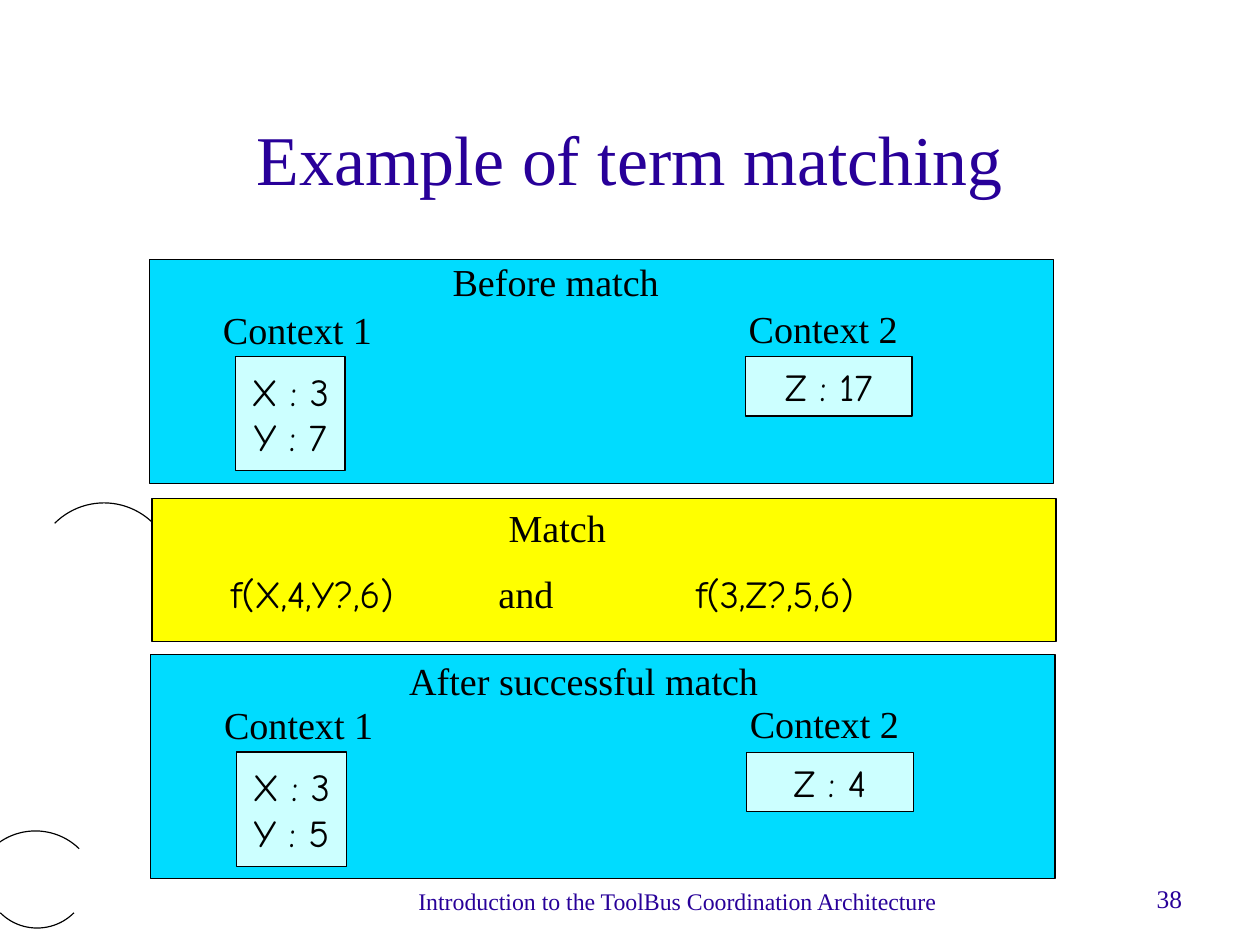
from dataclasses import dataclass

import pptx
import pptx.dml.color
import pptx.enum.shapes
import pptx.enum.text
import pptx.oxml.ns
import pptx.util
from lxml import etree

Inches = pptx.util.Inches
SHAPE = pptx.enum.shapes.MSO_SHAPE
ALIGN = pptx.enum.text.PP_ALIGN
ANCHOR = pptx.enum.text.MSO_ANCHOR


@dataclass(frozen=True)
class Theme:
    serif: str = "Times New Roman"
    term: str = "Comic Neue"
    accent: str = "280099"
    ink: str = "000000"
    panel: str = "00DCFF"
    match: str = "FFFF00"
    context: str = "CCFFFF"
    title_size: int = 44
    body_size: int = 24
    number_size: int = 16
    footer_size: int = 15
    hairline: int = 0


def rgb(value):
    return pptx.dml.color.RGBColor.from_string(value)


class SlideBuilder:
    def __init__(self, prs, theme):
        self.theme = theme
        self.s = prs.slides.add_slide(prs.slide_layouts[5])

    def frame(self, sp, **formats):
        """Clear the insets of a shape's text frame and apply formats."""
        tf = sp.text_frame
        insets = dict.fromkeys(
            ("margin_left", "margin_top", "margin_right", "margin_bottom"), 0)
        for name, value in {**insets, **formats}.items():
            setattr(tf, name, value)
        return tf

    def run(self, p, text, font=None, size=None, color=None):
        t = self.theme
        r = p.add_run()
        r.text = text
        formats = {"name": font or t.serif,
                   "size": pptx.util.Pt(size or t.body_size)}
        for name, value in formats.items():
            setattr(r.font, name, value)
        r.font.color.rgb = rgb(color or t.ink)

    def title(self, text, x, y, w, h):
        sp = self.s.shapes.title
        place = {"left": x, "top": y, "width": w, "height": h}
        for name, value in place.items():
            setattr(sp, name, Inches(value))
        tf = self.frame(sp, word_wrap=True, vertical_anchor=ANCHOR.MIDDLE)
        p = tf.paragraphs[0]
        p.alignment = ALIGN.CENTER
        self.run(p, text, size=self.theme.title_size, color=self.theme.accent)

    def label(self, text, x, y, w, h=0.4, **font):
        sp = self.s.shapes.add_textbox(*map(Inches, (x, y, w, h)))
        self.run(self.frame(sp, word_wrap=False).paragraphs[0], text, **font)

    def tabbed(self, parts, stops, x, y, w, h):
        """Set (text, font) parts on one line, each after the first at a tab stop."""
        sp = self.s.shapes.add_textbox(*map(Inches, (x, y, w, h)))
        p = self.frame(sp, word_wrap=True).paragraphs[0]
        qn = pptx.oxml.ns.qn
        tabs = etree.SubElement(p._p.get_or_add_pPr(), qn("a:tabLst"))
        for stop in stops:
            etree.SubElement(tabs, qn("a:tab"), pos=str(Inches(stop)), algn="l")
        for i, (text, font) in enumerate(parts):
            self.run(p, "\t" + text if i else text, font=font)

    def shape(self, kind, x, y, w, h, fill=None):
        sp = self.s.shapes.add_shape(kind, *map(Inches, (x, y, w, h)))
        sp.shadow.inherit = False
        if fill:
            sp.fill.solid()
            sp.fill.fore_color.rgb = rgb(fill)
        else:
            sp.fill.background()
        sp.line.color.rgb = rgb(self.theme.ink)
        sp.line.width = pptx.util.Pt(self.theme.hairline)
        return sp

    def arc(self, x, y, w, h, start, end):
        """Draw an arc between two angles given in degrees."""
        sp = self.shape(SHAPE.ARC, x, y, w, h)
        for i, angle in enumerate((start, end)):
            sp.adjustments[i] = angle * 0.6

    def context(self, name, lines, label_at, box):
        sp = self.shape(SHAPE.RECTANGLE, *box, fill=self.theme.context)
        tf = self.frame(sp, word_wrap=True, vertical_anchor=ANCHOR.MIDDLE)
        for i, line in enumerate(lines):
            p = tf.add_paragraph() if i else tf.paragraphs[0]
            p.alignment = ALIGN.CENTER
            self.run(p, line, font=self.theme.term)
        self.label(name, *label_at, 1.39)

    def state(self, x, y, heading, heading_at, first, second):
        """Draw a panel with the bindings of both contexts."""
        self.shape(SHAPE.RECTANGLE, x, y, 7.91, 1.96, self.theme.panel)
        self.label(heading, *heading_at)
        self.context("Context 1", first, (x + 0.64, y + 0.41),
                     (x + 0.75, y + 0.85, 0.96, 1))
        self.context("Context 2", second, (x + 5.24, y + 0.4),
                     (x + 5.21, y + 0.85, 1.46, 0.52))


def main():
    theme = Theme()
    prs = pptx.Presentation()
    prs.slide_width, prs.slide_height = pptx.util.Cm(28), pptx.util.Cm(21)
    b = SlideBuilder(prs, theme)

    b.label("38", 10.12, 7.73, 0.25, 0.37,
            size=theme.number_size, color=theme.accent)
    b.label("Introduction to the ToolBus Coordination Architecture",
            3.66, 7.76, 4.58, 0.25, size=theme.footer_size, color=theme.accent)
    b.arc(0.3, 4.4, 1.22, 1.22, 225, 315)
    b.arc(-0.13, 7.21, 0.91, 0.91, 45, 135)
    b.arc(-0.23, 7.27, 1.08, 1.06, 224.39, 315.61)

    b.title("Example of term matching", 0.81, -0.01, 9.41, 2.78)
    b.state(1.31, 2.27, "Before match", (3.96, 2.26, 1.85),
            ["X : 3", "Y : 7"], ["Z : 17"])
    b.shape(SHAPE.RECTANGLE, 1.33, 4.36, 7.91, 1.25, theme.match)
    b.label("Match", 4.45, 4.41, 0.9)
    b.tabbed([("f(X,4,Y?,6)", theme.term), ("and", theme.serif),
              ("f(3,Z?,5,6)", theme.term)], (2.34, 4.07), 2.02, 4.99, 6.08, 0.46)
    b.state(1.32, 5.73, "After successful match", (3.58, 5.75, 3.1),
            ["X : 3", "Y : 5"], ["Z : 4"])
    prs.save("out.pptx")


if __name__ == "__main__":
    main()
